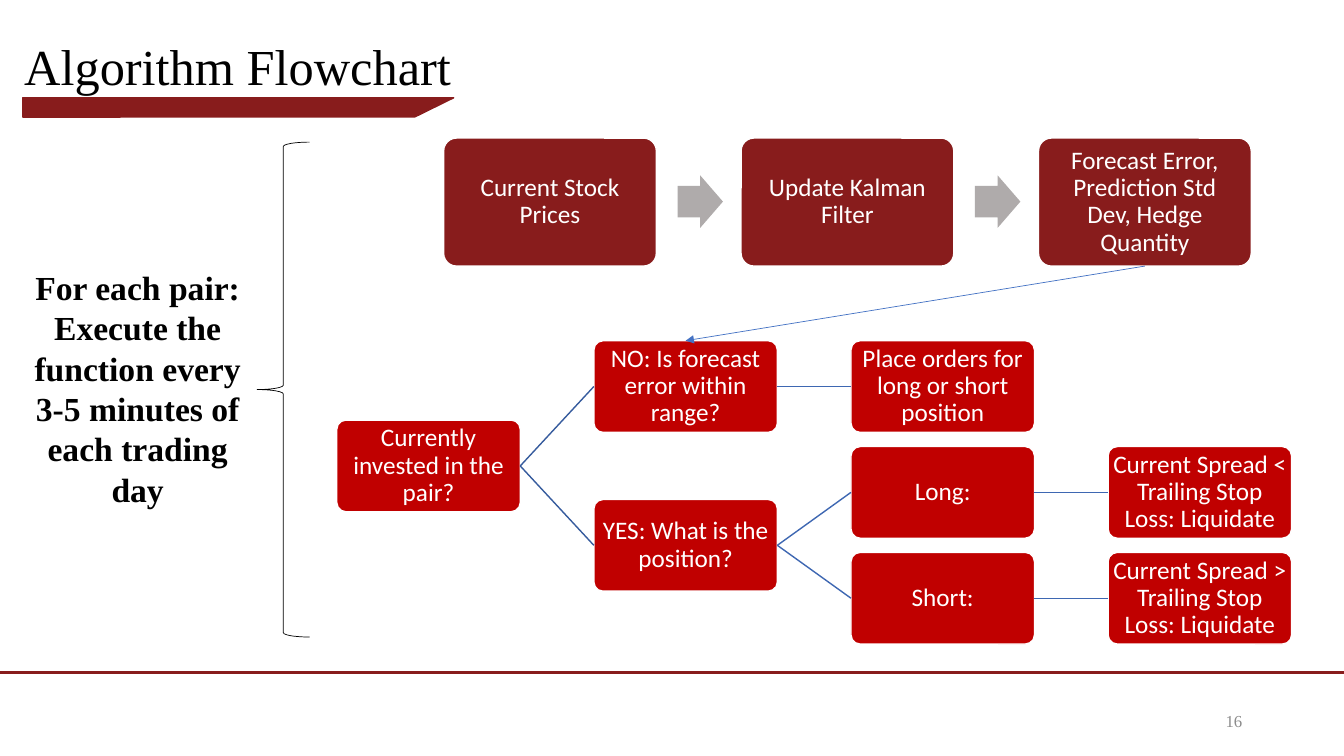
"""Build the algorithm flowchart slide."""
from lxml.etree import SubElement
from pptx import Presentation
from pptx.dml.color import RGBColor
from pptx.enum.shapes import MSO_CONNECTOR, MSO_SHAPE
from pptx.enum.text import MSO_ANCHOR, PP_ALIGN
from pptx.oxml.ns import qn
from pptx.util import Inches, Pt

COLORS = {name: RGBColor.from_string(code) for name, code in {
    "maroon": "881C1C", "red": "C00000", "white": "FFFFFF", "black": "000000",
    "gray": "AFABAB", "number": "8C8C8C", "trunk": "365B9D", "branch": "3E67B2",
    "arrow": "4472C4"}.items()}
SERIF, SANS = "Times New Roman", "Calibri"

deck = Presentation()
deck.slide_width, deck.slide_height = Inches(13.33), Inches(7.5)
slide = deck.slides.add_slide(deck.slide_layouts[5])
shapes = slide.shapes


def draw(kind, area, fill, line=None, width=1, adjust=()):
    shape = shapes.add_shape(kind, *map(Inches, area))
    shape.shadow.inherit = False
    shape.fill.solid()
    shape.fill.fore_color.rgb = COLORS[fill]
    if line:
        shape.line.color.rgb = COLORS[line]
        shape.line.width = Pt(width)
    else:
        shape.line.fill.background()
    for index, value in enumerate(adjust):
        shape.adjustments[index] = value
    return shape


def write(shape, lines, size, color, font=SANS, align=PP_ALIGN.CENTER,
          anchor=MSO_ANCHOR.MIDDLE, inset=None, space=None, bold=False):
    frame = shape.text_frame
    frame.text = "\n".join(lines)
    layout = {"word_wrap": True, "vertical_anchor": anchor}
    if inset is not None:
        for side in ("left", "top", "right", "bottom"):
            layout[f"margin_{side}"] = Inches(inset)
    for key, value in layout.items():
        setattr(frame, key, value)
    style = {"size": Pt(size), "name": font, "bold": bold}
    for para in frame.paragraphs:
        para.alignment = align
        para.line_spacing = space
        for run in para.runs:
            for key, value in style.items():
                setattr(run.font, key, value)
            run.font.color.rgb = COLORS[color]


draw(MSO_SHAPE.PARALLELOGRAM, (0.23, 0.97, 4.27, 0.19), "maroon", "maroon", adjust=[2.03])
draw(MSO_SHAPE.RECTANGLE, (0.23, 0.97, 0.96, 0.19), "maroon", "maroon")

title = shapes.title
place = {"left": 0.14, "top": -0.04, "width": 11.5, "height": 1.45}
for key, value in place.items():
    setattr(title, key, Inches(value))
write(title, ["Algorithm Flowchart"], 36, "black", SERIF, PP_ALIGN.LEFT, space=0.9)

number = shapes.add_textbox(*map(Inches, (9.42, 6.95, 3, 0.4)))
write(number, ["16"], 12, "number", SERIF, PP_ALIGN.RIGHT)

nodes = {
    "root": (0, 0.75, "Currently invested in the pair?"),
    "no": (1, 0, "NO: Is forecast error within range?"),
    "order": (2, 0, "Place orders for long or short position"),
    "yes": (1, 1.5, "YES: What is the position?"),
    "long": (2, 1, "Long:"),
    "below": (3, 1, "Current Spread < Trailing Stop Loss: Liquidate"),
    "short": (2, 2, "Short:"),
    "above": (3, 2, "Current Spread > Trailing Stop Loss: Liquidate"),
}
boxes = {}
for name, (col, row, text) in nodes.items():
    area = (3.34 + 2.55 * col, 3.38 + 1.05 * row, 1.82, 0.91)
    boxes[name] = draw(MSO_SHAPE.ROUNDED_RECTANGLE, area, "red", "white", adjust=[0.1])
    write(boxes[name], [text], 18, "white", inset=0.01, space=0.9)

steps = ["Current Stock Prices", "Update Kalman Filter",
         "Forecast Error, Prediction Std Dev, Hedge Quantity"]
for index, text in enumerate(steps):
    left = 4.4 + 2.95 * index
    if index:
        draw(MSO_SHAPE.RIGHT_ARROW, (left - 0.63, 1.74, 0.45, 0.52), "gray", adjust=[0.6, 0.5])
    step = draw(MSO_SHAPE.ROUNDED_RECTANGLE, (left, 1.37, 2.11, 1.27),
                "maroon", "white", adjust=[0.1])
    write(step, [text], 18, "white", inset=0.07, space=0.9)
boxes["step"] = step

links = [("root", "no", "trunk"), ("root", "yes", "trunk"), ("no", "order", "branch"),
         ("yes", "long", "branch"), ("yes", "short", "branch"),
         ("long", "below", "branch"), ("short", "above", "branch")]
joins = [(start, 3, end, 1, color, 1) for start, end, color in links]
joins.append(("step", 2, "no", 0, "arrow", 0.5))
lines = []
for start, exit, end, entry, color, width in joins:
    line = shapes.add_connector(MSO_CONNECTOR.STRAIGHT, 0, 0, 0, 0)
    line.begin_connect(boxes[start], exit)
    line.end_connect(boxes[end], entry)
    lines.append((line, color, width))
rule = shapes.add_connector(MSO_CONNECTOR.STRAIGHT, 0, Inches(6.67), Inches(13.33), Inches(6.67))
lines.append((rule, "maroon", 2.25))
for line, color, width in lines:
    line.line.color.rgb = COLORS[color]
    line.line.width = Pt(width)
    if color == "arrow":
        SubElement(line.line._get_or_add_ln(), qn("a:tailEnd"), type="triangle")
    SubElement(line._element.spPr, qn("a:effectLst"))

draw(MSO_SHAPE.LEFT_BRACE, (2.55, 1.41, 0.52, 4.91), "white", "black", 0.5)
note = shapes.add_textbox(*map(Inches, (0.17, 2.6, 2.39, 2.52)))
write(note, ["For each pair:", "Execute the function every 3-5 minutes of each trading day"],
      24, "black", SERIF, anchor=MSO_ANCHOR.TOP, bold=True)

deck.save("out.pptx")
